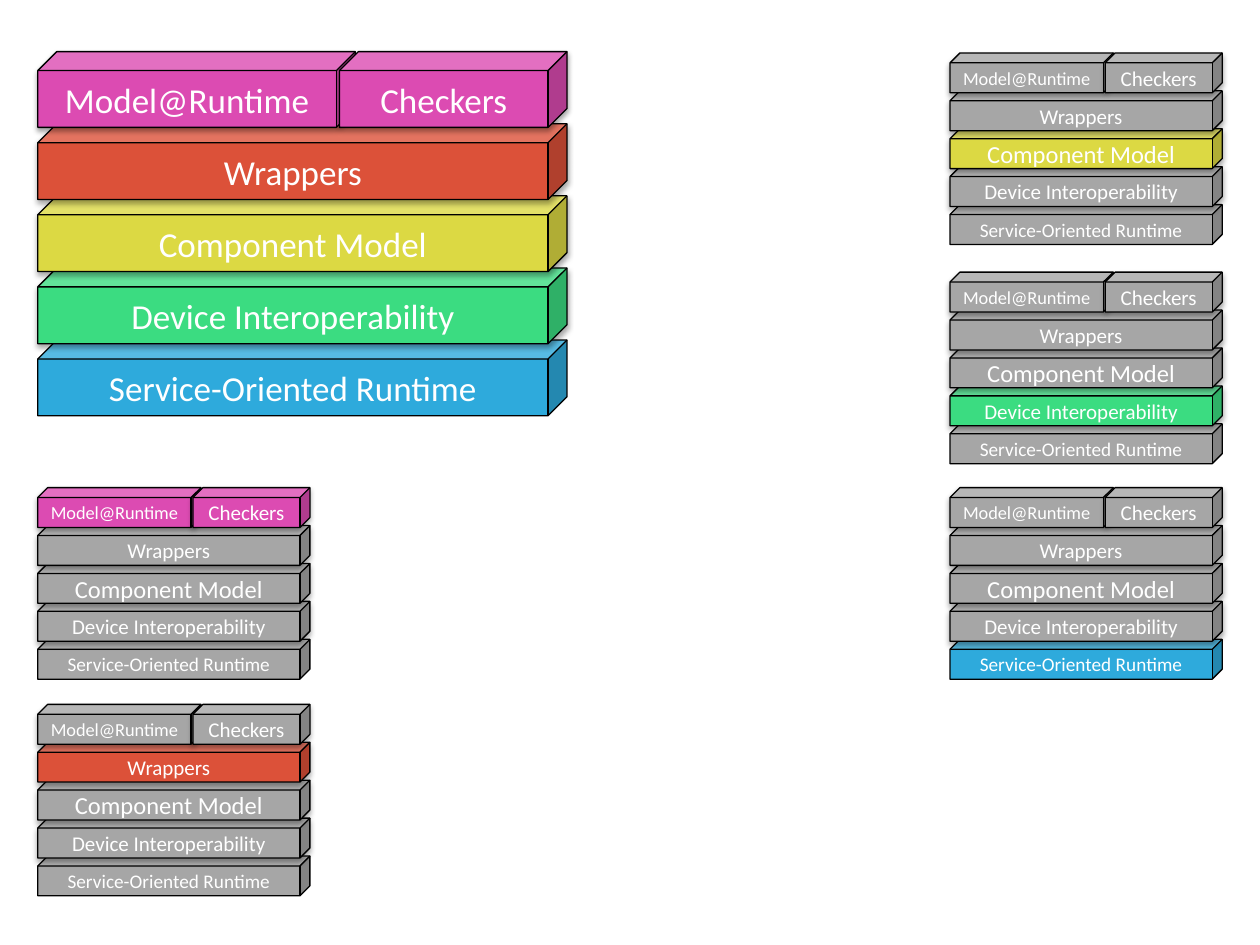
from lxml.etree import SubElement
from pptx import Presentation
from pptx.dml.color import RGBColor
from pptx.enum.shapes import MSO_SHAPE as SHAPE
from pptx.enum.text import MSO_ANCHOR as ANCHOR, PP_ALIGN as ALIGN
from pptx.oxml.ns import qn
from pptx.util import Inches, Pt

SLIDE_W, SLIDE_H = 10, 7.5
GREY = "A6A6A6"

# Layers from bottom to top: colour and blocks (label, left share, width share, small size)
LAYERS = [
    ("2EAADC", [("Service-Oriented Runtime", 0, 1, 11)]),
    ("3BDC81", [("Device Interoperability", 0, 1, 12)]),
    ("DCD943", [("Component Model", 0, 1, 14)]),
    ("DC5139", [("Wrappers", 0, 1, 12)]),
    ("DC4BB2", [("Model@Runtime", 0, 0.6, 10.5), ("Checkers", 0.57, 0.43, 12)]),
]
SERVICE, DEVICE, COMPONENT, WRAPPERS, MODEL = range(len(LAYERS))
BLOCK_SHARE = 0.208  # block height as a share of the stack height


def rgb(value):
    return RGBColor.from_string(value)


def add_shadow(sp):
    effects = sp._element.spPr.find(qn("a:effectLst"))
    shadow = SubElement(effects, qn("a:outerShdw"), blurRad=str(Pt(3.1)),
                        dist=str(Pt(1.8)), dir="5400000", rotWithShape="0")
    color = SubElement(shadow, qn("a:srgbClr"), val="000000")
    SubElement(color, qn("a:alpha"), val="35000")


def add_block(group, box, label, size, fill, shadow):
    sp = group.shapes.add_shape(SHAPE.CUBE, *(Inches(v) for v in box))
    sp.fill.solid()
    sp.fill.fore_color.rgb = rgb(fill)
    sp.line.color.rgb = rgb("000000")
    sp.line.width = Pt(0.75)
    sp.shadow.inherit = False
    if shadow:
        add_shadow(sp)
    tf = sp.text_frame
    tf.word_wrap = False
    tf.vertical_anchor = ANCHOR.MIDDLE
    p = tf.paragraphs[0]
    p.alignment = ALIGN.CENTER
    r = p.add_run()
    r.text = label
    r.font.name = "Calibri"
    r.font.size = Pt(size)
    r.font.color.rgb = rgb("FFFFFF")


def add_stack(s, box, lit, size=None):
    """Stack the layers in the box; only the lit ones keep their colour."""
    x, y, w, h = box
    block_h = h * BLOCK_SHARE
    pitch = (h - block_h) / (len(LAYERS) - 1)
    group = s.shapes.add_group_shape()
    for i, (color, blocks) in enumerate(LAYERS):
        top = y + h - block_h - i * pitch
        for label, left, width, small in blocks:
            add_block(group, (x + left * w, top, width * w, block_h), label,
                      size or small, color if i in lit else GREY, i > 0)


def main():
    prs = Presentation()
    prs.slide_width, prs.slide_height = Inches(SLIDE_W), Inches(SLIDE_H)
    s = prs.slides.add_slide(prs.slide_layouts[6])

    margin = 0.03 * SLIDE_W
    small_w, small_h = 0.216 * SLIDE_W, 1.52
    right = SLIDE_W - margin - small_w

    # Full-colour overview
    add_stack(s, (margin, 0.41, 0.42 * SLIDE_W, 2.89), range(len(LAYERS)), 20)

    # Small stacks, one layer highlighted in each
    for x, y, layer in [(margin, 5.59, WRAPPERS), (right, 0.42, COMPONENT),
                        (margin, 3.87, MODEL), (right, 3.87, SERVICE),
                        (right, 2.16, DEVICE)]:
        add_stack(s, (x, y, small_w, small_h), [layer])

    prs.save("out.pptx")


if __name__ == "__main__":
    main()
